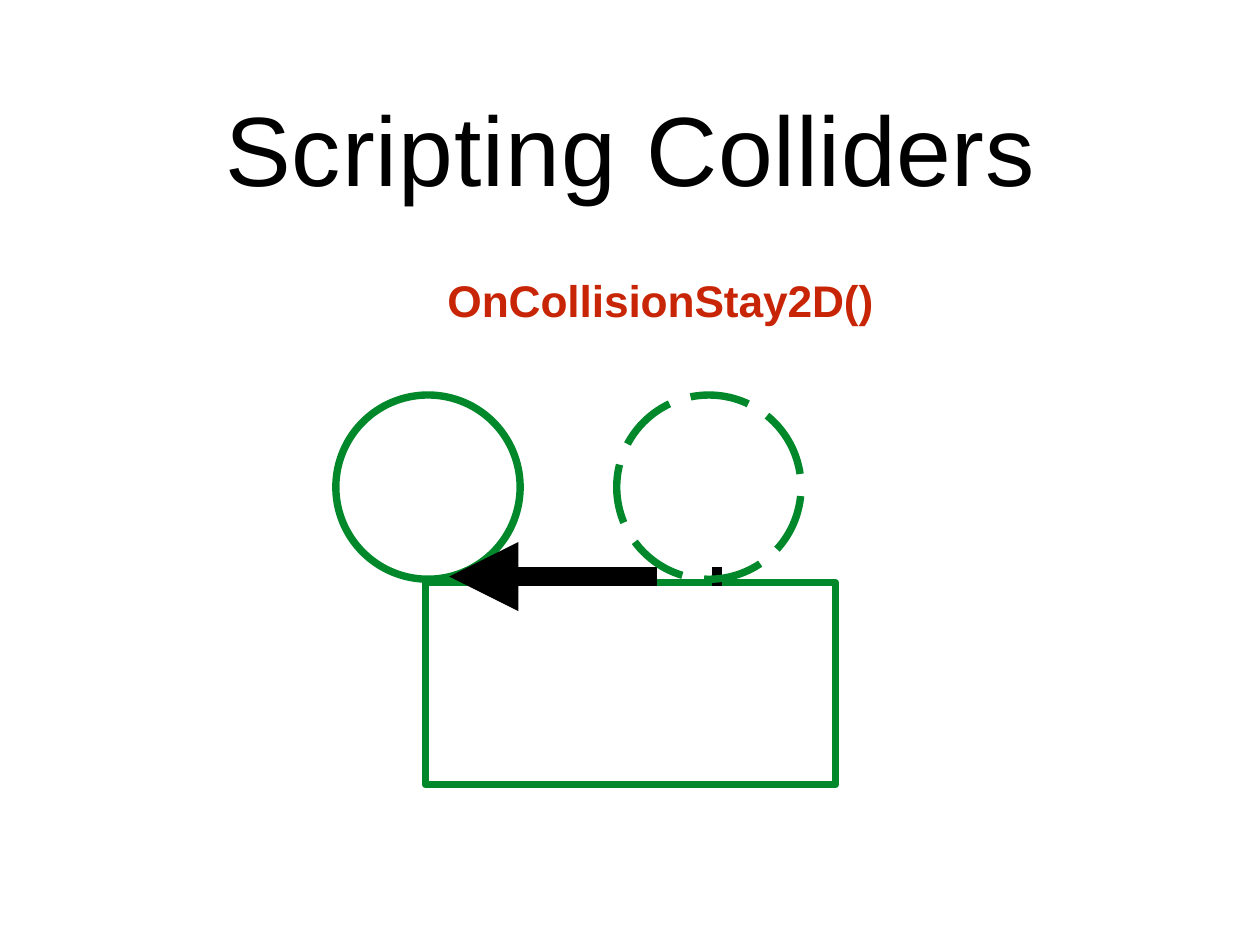
from lxml import etree
from pptx import Presentation
from pptx.dml.color import RGBColor
from pptx.enum.dml import MSO_LINE
from pptx.enum.shapes import MSO_CONNECTOR, MSO_SHAPE
from pptx.oxml.ns import qn
from pptx.util import Inches, Pt

RECTANGLE = MSO_SHAPE.RECTANGLE
OVAL = MSO_SHAPE.OVAL
TRIANGLE = MSO_SHAPE.ISOSCELES_TRIANGLE
STRAIGHT = MSO_CONNECTOR.STRAIGHT
LONG_DASH = MSO_LINE.LONG_DASH

COLORS = {"title": "000000", "method": "C82506", "collider": "00882B", "arrow": "000000"}
FONT = "Arial"

TITLE = [("Scripting ", 90), ("Colliders", 50)]
METHOD = [("OnCollisionStay2D()", -10)]
TITLE_BOX = (2.54, 1, 10.57, 1.31)
METHOD_BOX = (5.05, 3.09, 4.85, 0.6)

PLATFORM = (4.8, 6.58, 4.63, 2.28)
BALL_TOP, BALL_SIZE = 4.46, 2.08
BALL_LEFT, GHOST_LEFT = 3.79, 6.96
DASH_START_TURN = 135
ARROW_Y, ARROW_START, ARROW_END = 6.51, 5.75, 8.15
HEAD_TIP, HEAD_SIZE = 5.07, 0.78


def color(part):
    return RGBColor.from_string(COLORS[part])


def lengths(box):
    return [Inches(value) for value in box]


def add_heading(slide, box, pieces, size, part, bold=False):
    frame = slide.shapes.add_textbox(*lengths(box)).text_frame
    frame.word_wrap = True
    frame.margin_left = frame.margin_right = frame.margin_top = frame.margin_bottom = 0
    for words, spacing in pieces:
        run = frame.paragraphs[0].add_run()
        run.text = words
        run.font.name = FONT
        run.font.size = Pt(size)
        run.font.bold = bold
        run.font.color.rgb = color(part)
        run.font._element.set("spc", str(spacing))


def add_collider(slide, preset, box):
    collider = slide.shapes.add_shape(preset, *lengths(box))
    collider.shadow.inherit = False
    collider.fill.background()
    collider.line.color.rgb = color("collider")
    collider.line.width = Pt(6)
    return collider


def add_arrow(slide):
    shaft = slide.shapes.add_connector(
        STRAIGHT, *lengths((ARROW_START, ARROW_Y, ARROW_END, ARROW_Y)))
    shaft.line.color.rgb = color("arrow")
    shaft.line.width = Pt(15)
    shaft.line.dash_style = LONG_DASH
    etree.SubElement(shaft._element.spPr, qn("a:effectLst"))

    head = slide.shapes.add_shape(
        TRIANGLE, *lengths((HEAD_TIP, ARROW_Y - HEAD_SIZE / 2, HEAD_SIZE, HEAD_SIZE)))
    head.rotation = 270
    head.shadow.inherit = False
    head.fill.solid()
    head.fill.fore_color.rgb = color("arrow")
    head.line.fill.background()


def main():
    deck = Presentation()
    deck.slide_width, deck.slide_height = lengths((14.22, 10.67))
    slide = deck.slides.add_slide(deck.slide_layouts[6])

    add_heading(slide, TITLE_BOX, TITLE, 80, "title")
    add_collider(slide, RECTANGLE, PLATFORM)
    add_collider(slide, OVAL, (BALL_LEFT, BALL_TOP, BALL_SIZE, BALL_SIZE))
    add_heading(slide, METHOD_BOX, METHOD, 36, "method", bold=True)
    add_arrow(slide)
    ghost = add_collider(slide, OVAL, (GHOST_LEFT, BALL_TOP, BALL_SIZE, BALL_SIZE))
    ghost.line.dash_style = LONG_DASH
    ghost.rotation = DASH_START_TURN

    deck.save("out.pptx")


if __name__ == "__main__":
    main()
